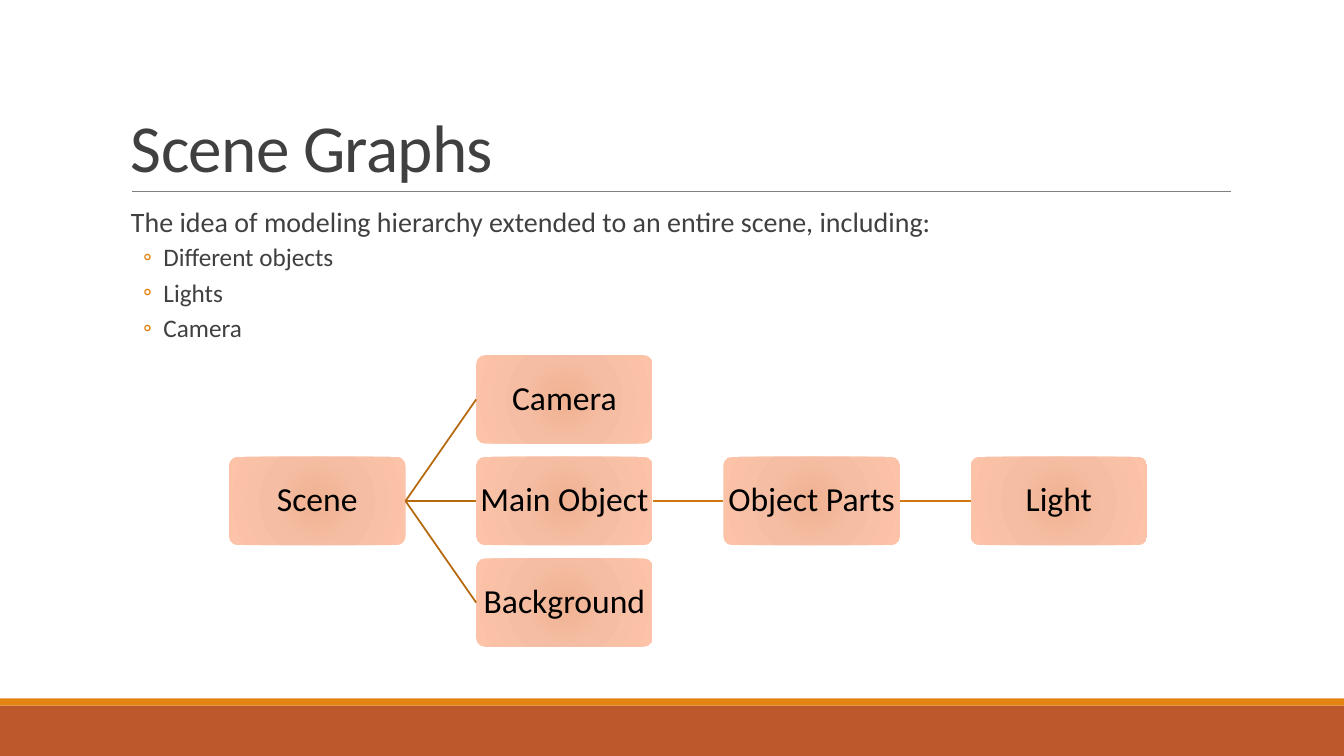
from dataclasses import dataclass

from lxml.etree import SubElement
from pptx import Presentation
from pptx.dml.color import RGBColor
from pptx.enum.shapes import MSO_CONNECTOR, MSO_SHAPE
from pptx.enum.text import MSO_ANCHOR as Anchor, PP_ALIGN as Align
from pptx.oxml.ns import qn
from pptx.shapes.autoshape import Shape
from pptx.shapes.connector import Connector
from pptx.slide import Slide
from pptx.text.text import TextFrame
from pptx.util import Cm, Pt

FONT = "Calibri"
BLACK = RGBColor(0x00, 0x00, 0x00)
DARK_GRAY = RGBColor(0x40, 0x40, 0x40)
RULE_GRAY = RGBColor(0x80, 0x80, 0x80)
RUST = RGBColor(0xBD, 0x58, 0x2C)
ORANGE = RGBColor(0xE4, 0x83, 0x12)
BRANCH_BROWN = RGBColor(0xB7, 0x69, 0x0E)
CHAIN_ORANGE = RGBColor(0xCF, 0x77, 0x10)
NODE_STOPS = (
    (0, RGBColor(0xF0, 0xB1, 0x91)),
    (45, RGBColor(0xF5, 0xBE, 0xA4)),
    (100, RGBColor(0xFD, 0xC3, 0xA8)),
)

SLIDE_WIDTH, SLIDE_HEIGHT = 33.87, 19.05
NODE_WIDTH, NODE_HEIGHT = 4.45, 2.23
COLUMN_PITCH, ROW_PITCH = 6.23, 2.56
TREE_LEFT, TREE_TOP = 5.77, 8.95
RIGHT_SIDE, LEFT_SIDE = 3, 1


@dataclass(frozen=True)
class Node:
    label: str
    column: int
    row: int


@dataclass(frozen=True)
class Edge:
    parent: str
    child: str
    color: RGBColor


NODES = (
    Node("Scene", 0, 1),
    Node("Camera", 1, 0),
    Node("Main Object", 1, 1),
    Node("Background", 1, 2),
    Node("Object Parts", 2, 1),
    Node("Light", 3, 1),
)
EDGES = (
    Edge("Scene", "Camera", BRANCH_BROWN),
    Edge("Scene", "Main Object", BRANCH_BROWN),
    Edge("Scene", "Background", BRANCH_BROWN),
    Edge("Main Object", "Object Parts", CHAIN_ORANGE),
    Edge("Object Parts", "Light", CHAIN_ORANGE),
)


def write(frame: TextFrame, text: str, *, size: float, color: RGBColor,
          align: Align = Align.LEFT, line_spacing: float = 0.9,
          before: float = 0, after: float = 0, margin: float = 0,
          bullet: str = "", hang: float = 0, tracking: float = 0) -> None:
    """Add one paragraph, using the frame's first one while it is empty."""
    first = frame.paragraphs[0]
    paragraph = frame.add_paragraph() if first.runs else first
    paragraph.alignment = align
    paragraph.line_spacing = line_spacing
    paragraph.space_before, paragraph.space_after = Pt(before), Pt(after)
    properties = paragraph._p.get_or_add_pPr()
    properties.set("marL", str(Cm(margin)))
    properties.set("indent", str(-Cm(hang)))
    if bullet:
        bullet_color = SubElement(properties, qn("a:buClr"))
        SubElement(bullet_color, qn("a:srgbClr")).set("val", str(ORANGE))
        SubElement(properties, qn("a:buFont")).set("typeface", FONT)
        SubElement(properties, qn("a:buChar")).set("char", bullet)
    run = paragraph.add_run()
    run.text = text
    run.font.name, run.font.size = FONT, Pt(size)
    run.font.color.rgb = color
    if tracking:
        run._r.get_or_add_rPr().set("spc", str(round(tracking * 100)))


def set_up_frame(frame: TextFrame, anchor: Anchor, side: float,
                 edge: float, wrap: bool = True) -> None:
    frame.word_wrap, frame.vertical_anchor = wrap, anchor
    frame.margin_left = frame.margin_right = Cm(side)
    frame.margin_top = frame.margin_bottom = Cm(edge)


def add_text_box(slide: Slide, left: float, top: float, width: float,
                 height: float, anchor: Anchor, side: float) -> TextFrame:
    box = slide.shapes.add_textbox(Cm(left), Cm(top), Cm(width), Cm(height))
    set_up_frame(box.text_frame, anchor, side, 0.13)
    return box.text_frame


def add_band(slide: Slide, top: float, height: float, color: RGBColor) -> None:
    band = slide.shapes.add_shape(
        MSO_SHAPE.RECTANGLE, 0, Cm(top), Cm(SLIDE_WIDTH), Cm(height))
    band.shadow.inherit = False
    band.fill.solid()
    band.fill.fore_color.rgb = color
    band.line.fill.background()


def add_line(slide: Slide, color: RGBColor, width: float, left: float = 0,
             right: float = 0, y: float = 0) -> Connector:
    line = slide.shapes.add_connector(
        MSO_CONNECTOR.STRAIGHT, Cm(left), Cm(y), Cm(right), Cm(y))
    line.line.color.rgb, line.line.width = color, Pt(width)
    SubElement(line._element.spPr, qn("a:effectLst"))
    return line


def fill_radially(shape: Shape) -> None:
    """Shade the shape from its centre outwards."""
    shape.fill.gradient()
    gradient = shape._element.spPr.find(qn("a:gradFill"))
    for child in list(gradient):
        gradient.remove(child)
    stops = SubElement(gradient, qn("a:gsLst"))
    for percent, color in NODE_STOPS:
        stop = SubElement(stops, qn("a:gs"), pos=str(percent * 1000))
        SubElement(stop, qn("a:srgbClr"), val=str(color))
    circle = SubElement(gradient, qn("a:path"), path="circle")
    SubElement(circle, qn("a:fillToRect"), {side: "100000" for side in "ltrb"})


def add_node(slide: Slide, node: Node) -> Shape:
    box = slide.shapes.add_shape(
        MSO_SHAPE.ROUNDED_RECTANGLE,
        Cm(TREE_LEFT + node.column * COLUMN_PITCH),
        Cm(TREE_TOP + node.row * ROW_PITCH),
        Cm(NODE_WIDTH), Cm(NODE_HEIGHT))
    box.adjustments[0] = 0.1
    box.shadow.inherit = False
    box.line.fill.background()
    fill_radially(box)
    set_up_frame(box.text_frame, Anchor.MIDDLE, 0.05, 0.05, wrap=False)
    write(box.text_frame, node.label, size=24, color=BLACK, align=Align.CENTER)
    return box


def main() -> None:
    deck = Presentation()
    deck.slide_width, deck.slide_height = Cm(SLIDE_WIDTH), Cm(SLIDE_HEIGHT)
    slide = deck.slides.add_slide(deck.slide_layouts[6])

    add_band(slide, 17.78, 1.27, RUST)
    add_band(slide, 17.6, 0.18, ORANGE)
    add_line(slide, RULE_GRAY, 0.5, left=3.33, right=31.01, y=4.83)

    title = add_text_box(slide, 3.05, 0.78, 27.94, 4.05, Anchor.BOTTOM, 0.25)
    write(title, "Scene Graphs", size=48, color=DARK_GRAY,
          line_spacing=0.85, tracking=-0.5)

    body = add_text_box(slide, 3.05, 5.13, 27.94, 11.18, Anchor.TOP, 0)
    write(body, "The idea of modeling hierarchy extended to an entire scene, including:",
          size=20, color=DARK_GRAY, before=12, after=2, margin=0.25)
    for item in ("Different objects", "Lights", "Camera"):
        write(body, item, size=18, color=DARK_GRAY, before=2, after=4,
              margin=1.07, bullet="◦", hang=0.51)

    boxes = {node.label: add_node(slide, node) for node in NODES}
    for edge in EDGES:
        line = add_line(slide, edge.color, 1.25)
        line.begin_connect(boxes[edge.parent], RIGHT_SIDE)
        line.end_connect(boxes[edge.child], LEFT_SIDE)

    deck.save("out.pptx")


if __name__ == "__main__":
    main()
